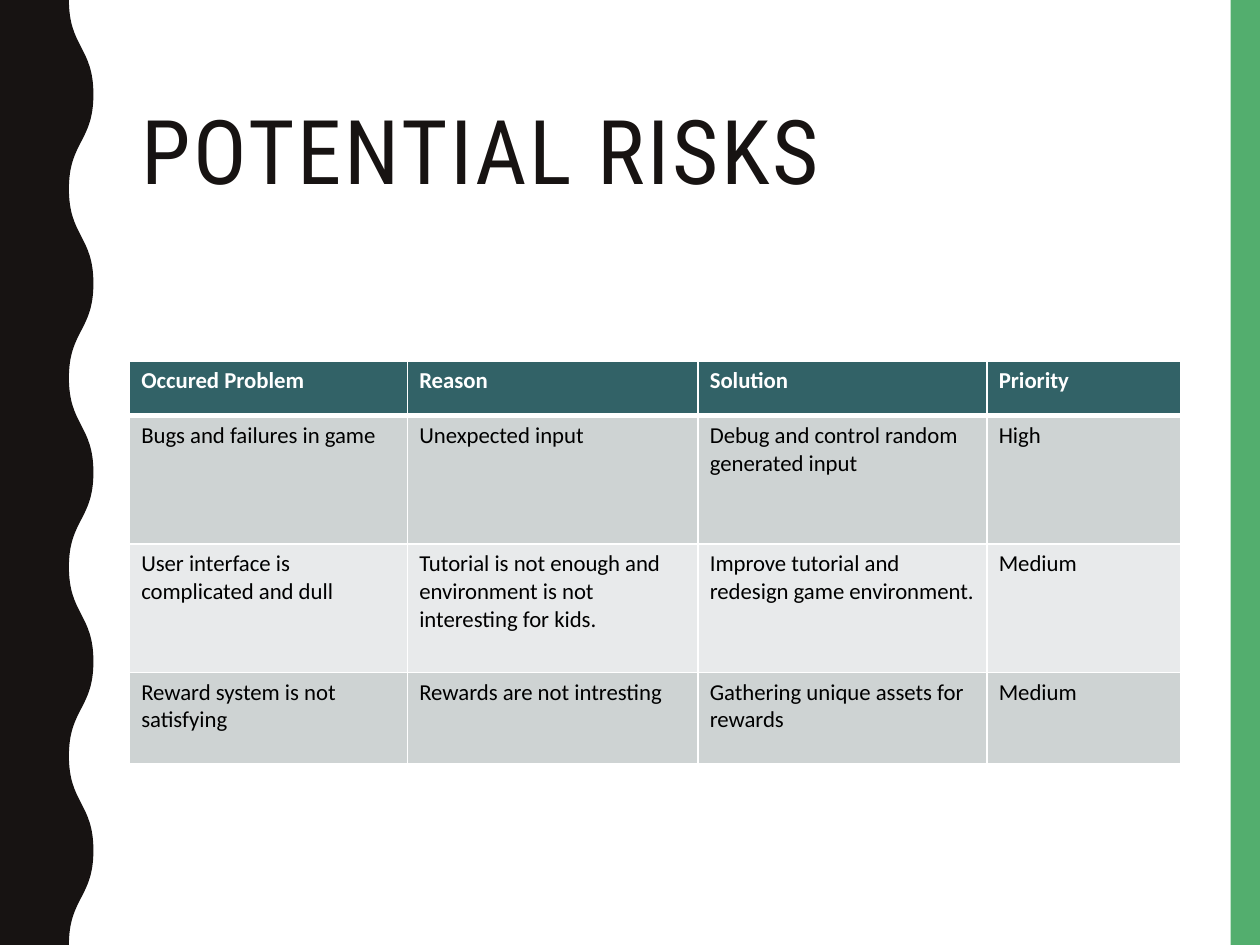
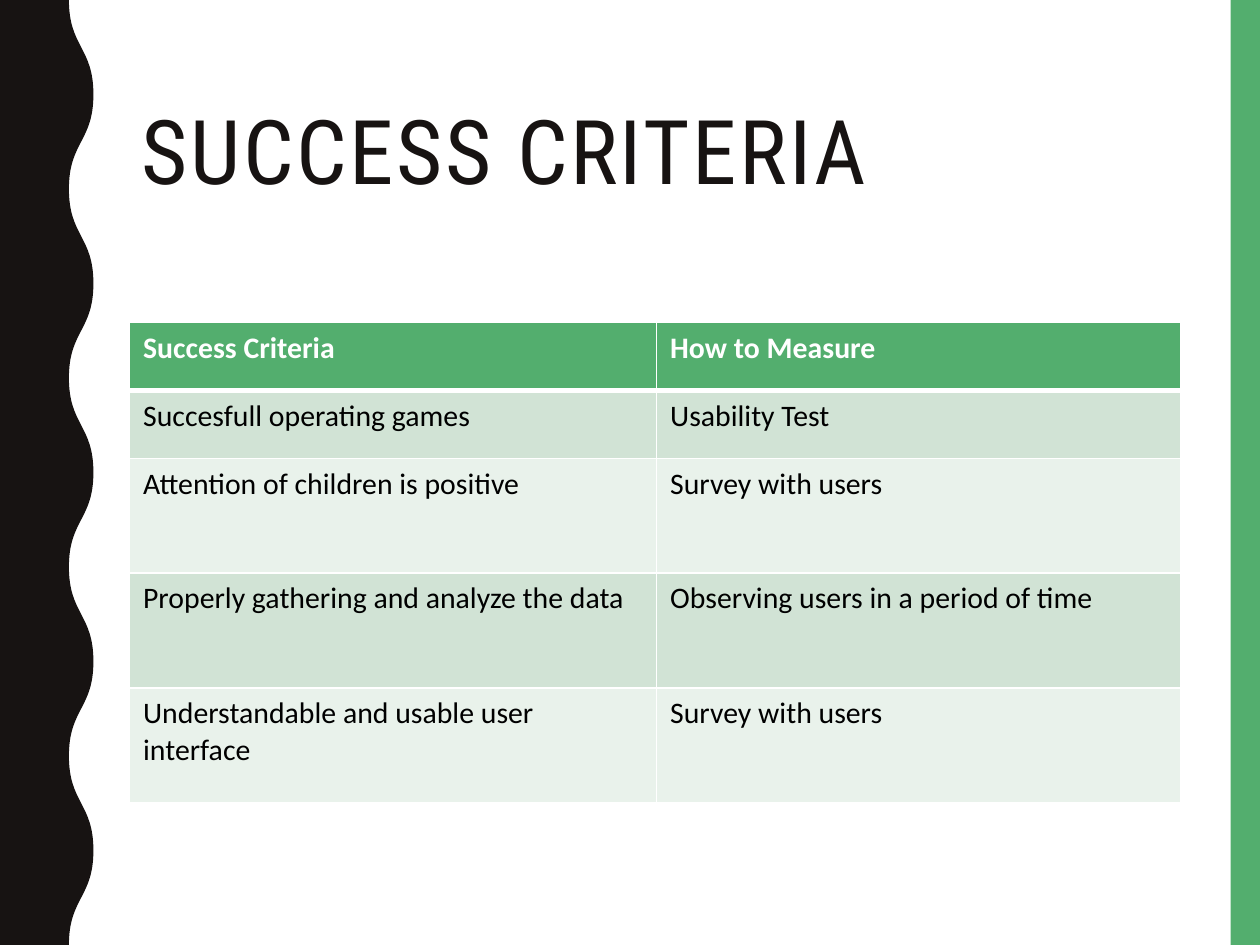
from dataclasses import dataclass
from typing import Any

from lxml.etree import SubElement
from pptx import Presentation
from pptx.dml.color import RGBColor
from pptx.enum.shapes import MSO_SHAPE
from pptx.enum.text import MSO_ANCHOR, MSO_AUTO_SIZE, PP_ALIGN
from pptx.oxml import parse_xml
from pptx.oxml.ns import nsdecls, qn
from pptx.util import Pt

# Shared look
SLIDE_WIDTH, SLIDE_HEIGHT = 720, 540
CONTENT_LEFT, CONTENT_WIDTH = 73.9, 601.2
BAND_WIDTH = 16.8
WAVE_INNER, WAVE_OUTER, HALF_WAVE = 39.4, 53.4, 54
UNITS_PER_POINT = 100
INK, GREEN, TEAL, WHITE, BLACK = "171312", "53AE6E", "326267", "FFFFFF", "000000"
TITLE_FONT, TABLE_FONT = "Roboto Condensed", "Calibri"

TITLE_BOX = {"left": Pt(CONTENT_LEFT), "top": Pt(30.2),
             "width": Pt(CONTENT_WIDTH), "height": Pt(117.4)}
TITLE_FRAME = {"word_wrap": True, "auto_size": MSO_AUTO_SIZE.NONE,
               "vertical_anchor": MSO_ANCHOR.MIDDLE}
TITLE_PARAGRAPH = {"alignment": PP_ALIGN.LEFT, "line_spacing": 0.9}
TITLE_TEXT = {"name": TITLE_FONT, "size": Pt(51), "bold": False}


@dataclass
class TableSlide:
    title: str
    top: float
    column_widths: list[float]
    row_heights: list[float]
    header_fill: str
    band_fills: tuple[str, str]
    text_size: float
    side_margin: float
    top_margin: float
    rows: list[list[str]]


RISKS = TableSlide(
    "POTENTIAL RISKS", 206.5, [158.9, 166, 165.2, 110.6], [31.1, 73.4, 73.4, 52.2],
    TEAL, ("CED3D3", "E8EAEB"), 13, 6.84, 3.42,
    [
        ["Occured Problem", "Reason", "Solution", "Priority"],
        ["Bugs and failures in game", "Unexpected input",
         "Debug and control random generated input", "High"],
        ["User interface is complicated and dull",
         "Tutorial is not enough and environment is not interesting for kids.",
         "Improve tutorial and redesign game environment.", "Medium"],
        ["Reward system is not satisfying", "Rewards are not intresting",
         "Gathering unique assets for rewards", "Medium"],
    ],
)

CRITERIA = TableSlide(
    "SUCCESS CRITERIA", 184.4, [301.2, 299.8], [38.8, 38.8, 65.6, 65.6, 65.6],
    GREEN, ("D1E3D5", "E9F2EB"), 17, 7.9, 4.2,
    [
        ["Success Criteria", "How to Measure"],
        ["Succesfull operating games", "Usability Test"],
        ["Attention of children is positive", "Survey with users"],
        ["Properly gathering and analyze the data",
         "Observing users in a period of time"],
        ["Understandable and usable user interface", "Survey with users"],
    ],
)


def color(value: str) -> RGBColor:
    return RGBColor.from_string(value)


def apply_format(target: Any, values: dict[str, Any]) -> None:
    for attribute, value in values.items():
        setattr(target, attribute, value)


def paint(shape: Any, fill: str) -> None:
    shape.shadow.inherit = False
    shape.fill.solid()
    shape.fill.fore_color.rgb = color(fill)
    shape.line.fill.background()


def units(value: float) -> int:
    return round(value * UNITS_PER_POINT)


def add_wavy_edge(slide: Any) -> Any:
    """Draw the dark edge: one S-curve per half wave, from top to bottom."""
    half_count = SLIDE_HEIGHT // HALF_WAVE
    turns = [(units(WAVE_OUTER if index % 2 else WAVE_INNER), units(index * HALF_WAVE))
             for index in range(half_count + 1)]
    outline = slide.shapes.build_freeform(*turns[0], scale=Pt(1) / UNITS_PER_POINT)
    outline.add_line_segments(
        [*turns[1:], (0, units(SLIDE_HEIGHT)), (0, 0)], close=True)
    edge = outline.convert_to_shape()

    # Bend the straight segments between the turning points
    segments = list(edge._element.iter(qn("a:lnTo")))[:half_count]
    for segment, (x1, y1), (x2, y2) in zip(segments, turns, turns[1:]):
        middle = (y1 + y2) // 2
        segment.clear()
        segment.tag = qn("a:cubicBezTo")
        for x, y in ((x1, middle), (x2, middle), (x2, y2)):
            SubElement(segment, qn("a:pt"), x=str(x), y=str(y))
    paint(edge, INK)
    return edge


def add_side_bands(slide: Any) -> None:
    """Draw both bands and move them to the layout that the slides share."""
    band = slide.shapes.add_shape(
        MSO_SHAPE.RECTANGLE, Pt(SLIDE_WIDTH - BAND_WIDTH), 0,
        Pt(BAND_WIDTH), Pt(SLIDE_HEIGHT))
    paint(band, GREEN)
    for shape in (band, add_wavy_edge(slide)):
        slide.slide_layout.shapes._spTree.append(shape._element)


def set_title(slide: Any, text: str) -> None:
    title = slide.shapes.title
    apply_format(title, TITLE_BOX)
    apply_format(title.text_frame, TITLE_FRAME)
    paragraph = title.text_frame.paragraphs[0]
    apply_format(paragraph, TITLE_PARAGRAPH)
    run = paragraph.add_run()
    run.text = text
    apply_format(run.font, TITLE_TEXT)
    run.font.color.rgb = color(INK)
    run.font._element.set("spc", "150")


def set_borders(cell: Any, top_width: float, bottom_width: float) -> None:
    properties = cell._tc.get_or_add_tcPr()
    widths = {"lnL": 1, "lnR": 1, "lnT": top_width, "lnB": bottom_width}
    for position, (side, width) in enumerate(widths.items()):
        border = parse_xml(f'<a:{side} {nsdecls("a")} w="{Pt(width)}"/>')
        fill = SubElement(border, qn("a:solidFill"))
        SubElement(fill, qn("a:srgbClr"), val=WHITE)
        properties.insert(position, border)


def add_table(slide: Any, content: TableSlide) -> None:
    table = slide.shapes.add_table(
        len(content.rows), len(content.column_widths),
        Pt(CONTENT_LEFT), Pt(content.top),
        Pt(sum(content.column_widths)), Pt(sum(content.row_heights))).table
    for column, width in zip(table.columns, content.column_widths):
        column.width = Pt(width)
    for row, height in zip(table.rows, content.row_heights):
        row.height = Pt(height)

    margins = {
        "margin_left": Pt(content.side_margin), "margin_right": Pt(content.side_margin),
        "margin_top": Pt(content.top_margin), "margin_bottom": Pt(content.top_margin),
    }
    for row_index, texts in enumerate(content.rows):
        is_header = row_index == 0
        fill = content.header_fill if is_header else content.band_fills[(row_index - 1) % 2]
        text_format = {"name": TABLE_FONT, "size": Pt(content.text_size), "bold": is_header}
        for column_index, text in enumerate(texts):
            cell = table.cell(row_index, column_index)
            apply_format(cell, margins)
            cell.fill.solid()
            cell.fill.fore_color.rgb = color(fill)
            # The thick rule lies between the header and the first body row
            set_borders(cell, 3 if row_index == 1 else 1, 3 if is_header else 1)
            run = cell.text_frame.paragraphs[0].add_run()
            run.text = text
            apply_format(run.font, text_format)
            run.font.color.rgb = color(WHITE if is_header else BLACK)


def main() -> None:
    presentation = Presentation()
    apply_format(presentation, {"slide_width": Pt(SLIDE_WIDTH),
                                "slide_height": Pt(SLIDE_HEIGHT)})
    title_only = presentation.slide_layouts.get_by_name("Title Only")
    slides = []
    for content in (RISKS, CRITERIA):
        slide = presentation.slides.add_slide(title_only)
        set_title(slide, content.title)
        add_table(slide, content)
        slides.append(slide)
    add_side_bands(slides[0])
    presentation.save("out.pptx")


if __name__ == "__main__":
    main()
